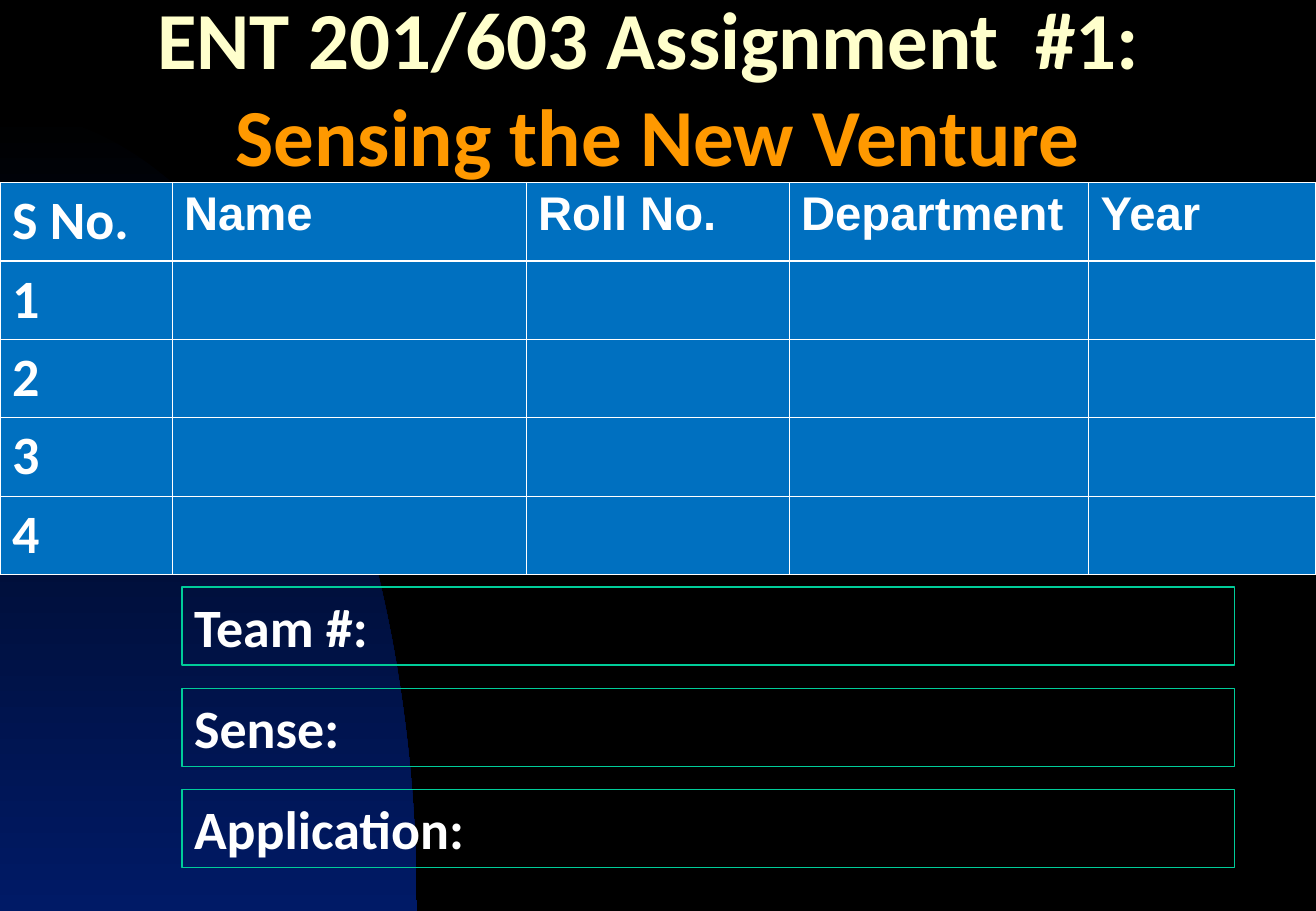
from math import cos, sin, pi
from pptx import Presentation
from pptx.dml.color import RGBColor
from pptx.enum.shapes import MSO_SHAPE
from pptx.enum.text import MSO_ANCHOR as ANCHOR, MSO_AUTO_SIZE as FIT, PP_ALIGN as ALIGN
from pptx.oxml import parse_xml
from pptx.oxml.ns import nsdecls
from pptx.util import Inches, Pt

COLORS = {k: RGBColor.from_string(v) for k, v in {
    "black": "000000", "navy": "001A66", "cream": "FFFFCC", "orange": "FF9900",
    "white": "FFFFFF", "blue": "0070C0", "green": "00CC99"}.items()}

# The slide is a grid of 130 columns by 90 rows, each a twelfth of an inch
COLS, ROWS = 130, 90
prs = Presentation()
prs.slide_width, prs.slide_height = Inches(10.84), Inches(7.5)
U = prs.slide_height / ROWS


def write(p, text, size=32, font="Calibri", color="white", align=ALIGN.LEFT):
    """Add a bold run of text to a paragraph."""
    p.alignment = align
    r = p.add_run()
    r.text = text
    r.font.size, r.font.name, r.font.bold = Pt(size), font, True
    r.font.color.rgb = COLORS[color]


def add_borders(cell, top, bottom):
    """Draw white cell borders; widths are in points."""
    tcPr = cell._tc.get_or_add_tcPr()
    sides = {"L": 0.45, "R": 0.45, "T": top, "B": bottom}
    for i, (side, width) in enumerate(sides.items()):
        tcPr.insert(i, parse_xml(
            f'<a:ln{side} {nsdecls("a")} w="{Pt(width)}"><a:solidFill>'
            f'<a:srgbClr val="{COLORS["white"]}"/></a:solidFill></a:ln{side}>'))


s = prs.slides.add_slide(prs.slide_layouts[5])
s.background.fill.solid()
s.background.fill.fore_color.rgb = COLORS["black"]

# Quarter ellipse in the lower left corner, behind the title
RX, RY, STEPS = 41.2 * U, 79 * U, 90
angles = [pi / 2 * i / STEPS for i in range(STEPS + 1)]
arc = [(RX * sin(a), prs.slide_height - RY * cos(a)) for a in angles]
outline = s.shapes.build_freeform(0, prs.slide_height)
outline.add_line_segments(arc)
glow = outline.convert_to_shape()
glow.shadow.inherit = False
glow.line.fill.background()
glow.fill.gradient()
glow.fill.gradient_angle = 270
for stop, name in zip(glow.fill.gradient_stops, ("black", "navy")):
    stop.color.rgb = COLORS[name]
s.shapes._spTree.insert(2, glow._element)

# Title
title = s.shapes.title
title.left, title.top, title.width, title.height = 0, 0, prs.slide_width, int(17 * U)
tf = title.text_frame
tf.auto_size, tf.word_wrap, tf.vertical_anchor = FIT.NONE, True, ANCHOR.MIDDLE
p = tf.paragraphs[0]
write(p, "ENT 201/603 Assignment  #1: ", size=48, color="cream", align=ALIGN.CENTER)
p.add_line_break()
write(p, "Sensing the New Venture", size=48, color="orange", align=ALIGN.CENTER)

# Team table
HEADERS = ["S No.", "Name", "Roll No.", "Department", "Year"]
WIDTHS = [17, 35, 26, 29.6, 22.4]
MEMBERS, ROW_H = 4, 7.75
frame = s.shapes.add_table(MEMBERS + 1, len(HEADERS), 0, int(18 * U),
                           int(COLS * U), int((MEMBERS + 1) * ROW_H * U))
table = frame.table
table.horz_banding = table.first_row = False
for col, width in zip(table.columns, WIDTHS):
    col.width = int(width * U)
for i, row in enumerate(table.rows):
    row.height = int(ROW_H * U)
    for j, cell in enumerate(row.cells):
        cell.fill.solid()
        cell.fill.fore_color.rgb = COLORS["blue"]
        add_borders(cell, top=1.47 if i == 1 else 0.45, bottom=1.47 if i == 0 else 0.45)
        p = cell.text_frame.paragraphs[0]
        if j == 0:
            write(p, str(i) if i else HEADERS[0])
        elif i == 0:
            write(p, HEADERS[j], size=28, font="Arial")

# Answer boxes
for i, label in enumerate(["Team #:", "Sense:", "Application:"]):
    box = s.shapes.add_shape(MSO_SHAPE.RECTANGLE, int(18 * U), int((58 + 10 * i) * U),
                             int(104 * U), int(7.7 * U))
    box.shadow.inherit = False
    box.fill.background()
    box.line.color.rgb, box.line.width = COLORS["green"], Pt(0.74)
    tf = box.text_frame
    tf.word_wrap, tf.auto_size = True, FIT.SHAPE_TO_FIT_TEXT
    tf.vertical_anchor = ANCHOR.TOP
    write(tf.paragraphs[0], label)

prs.save("out.pptx")
